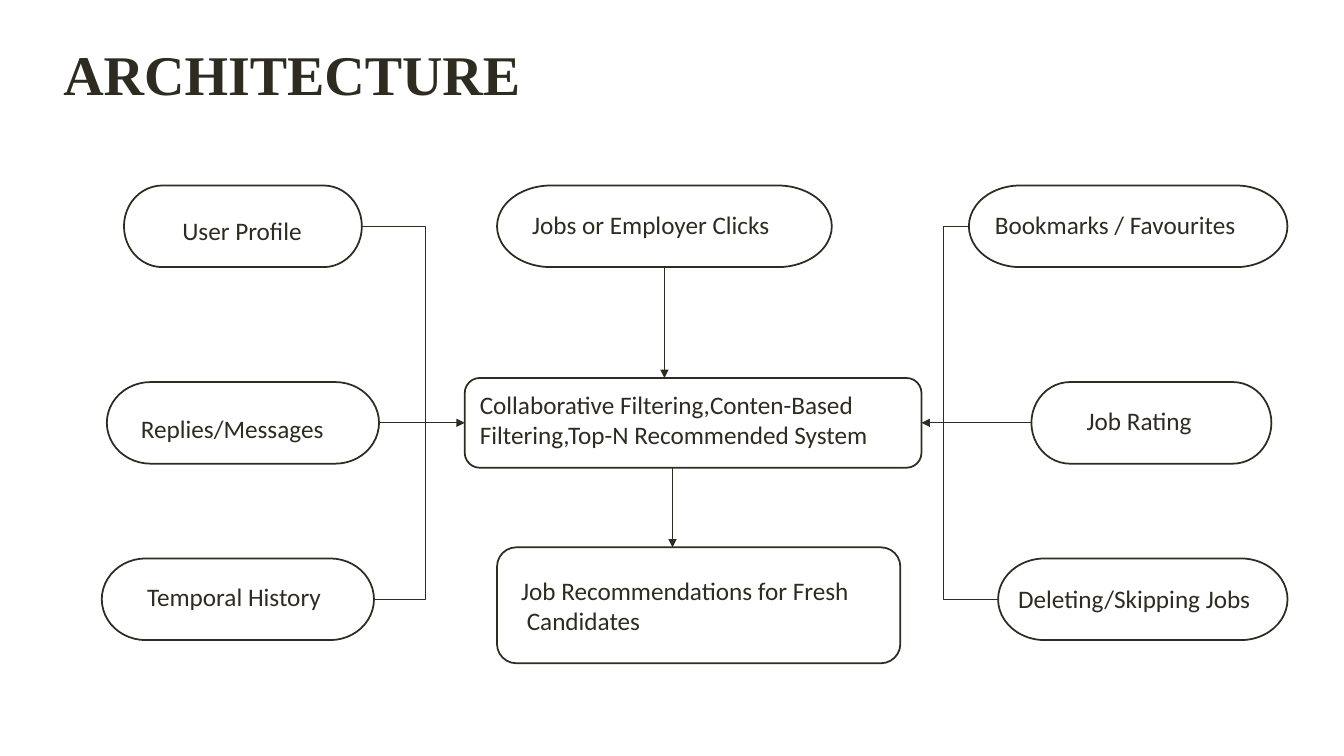
from lxml import etree
from pptx import Presentation
from pptx.dml.color import RGBColor
from pptx.enum.shapes import MSO_CONNECTOR, MSO_SHAPE
from pptx.enum.text import PP_ALIGN
from pptx.oxml.ns import qn
from pptx.util import Inches, Pt

PILL = MSO_SHAPE.FLOWCHART_TERMINATOR
PANEL = MSO_SHAPE.ROUNDED_RECTANGLE
STRAIGHT = MSO_CONNECTOR.STRAIGHT
ELBOW = MSO_CONNECTOR.ELBOW
LEFT, JUSTIFY = PP_ALIGN.LEFT, PP_ALIGN.JUSTIFY

# Content and grid, in inches
INK = "2E2B21"
TITLE = "ARCHITECTURE"
TOP_ROW, MIDDLE_ROW, BOTTOM_ROW = 1.84, 3.79, 5.54
PILL_HEIGHT = 0.81
LEFT_BUS, RIGHT_BUS = 4.22, 9.36

# name: (left, top, width, label, label shift right, label shift down, alignment)
PILLS = {
    "profile": (1.23, TOP_ROW, 2.36, "User Profile", 0.48, 0.25, LEFT),
    "clicks": (4.93, TOP_ROW, 3.32, "Jobs or Employer Clicks", 0.25, 0.19, JUSTIFY),
    "bookmarks": (9.61, TOP_ROW, 3.16, "Bookmarks / Favourites", 0.16, 0.19, LEFT),
    "messages": (1.06, MIDDLE_ROW, 2.7, "Replies/Messages", 0.24, 0.26, LEFT),
    "history": (1.01, BOTTOM_ROW, 2.7, "Temporal History", 0.35, 0.18, LEFT),
    "rating": (10.23, MIDDLE_ROW, 2.38, "Job Rating", 0.45, 0.18, JUSTIFY),
    "skipping": (9.9, BOTTOM_ROW, 2.87, "Deleting/Skipping Jobs", 0.1, 0.2, LEFT),
}
# name: (left, top, width, height, paragraphs, label shift right, label shift down)
PANELS = {
    "engine": (4.61, 3.75, 4.53, 0.89,
               ["Collaborative Filtering,Conten-Based",
                "Filtering,Top-N Recommended System"], 0.05, 0.06),
    "results": (4.93, 5.43, 4, 1.15,
                ["Job Recommendations for Fresh\v Candidates"], 0.14, 0.23),
}

deck = Presentation()
deck.slide_width, deck.slide_height = Inches(13.33), Inches(7.5)
page = deck.slides.add_slide(deck.slide_layouts[6])


def color(value):
    return RGBColor.from_string(value)


def add_text(paragraphs, left, top, width, height, size=18, font="Calibri",
             bold=False, align=LEFT):
    box = page.shapes.add_textbox(Inches(left), Inches(top), Inches(width), Inches(height))
    frame = box.text_frame
    frame.word_wrap = True
    for index, words in enumerate(paragraphs):
        para = frame.add_paragraph() if index else frame.paragraphs[0]
        para.text = words
        para.alignment = align
        for span in para.runs:
            span.font.size, span.font.name, span.font.bold = Pt(size), font, bold
            span.font.color.rgb = color(INK)


def add_outline(kind, left, top, width, height):
    shape = page.shapes.add_shape(kind, Inches(left), Inches(top), Inches(width), Inches(height))
    shape.shadow.inherit = False
    shape.fill.background()
    shape.line.color.rgb = color(INK)
    shape.line.width = Pt(1.25)


def add_link(start, end, bus=None):
    """Straight arrow, or a plain bracket that bends at the bus position."""
    kind = STRAIGHT if bus is None else ELBOW
    link = page.shapes.add_connector(kind, *(Inches(value) for value in (*start, *end)))
    link.line.color.rgb = color(INK)
    link.line.width = Pt(0.75)
    properties = link._element.spPr
    etree.SubElement(properties, qn("a:effectLst"))
    if bus is None:
        etree.SubElement(link.line._get_or_add_ln(), qn("a:tailEnd"), type="triangle")
    else:
        share = round((bus - start[0]) / (end[0] - start[0]) * 100000)
        bends = properties.find(qn("a:prstGeom")).get_or_add_avLst()
        etree.SubElement(bends, qn("a:gd"), name="adj1", fmla=f"val {share}")


# Title
add_text([TITLE], 0.53, 0.34, 4.92, 0.77, size=40, font="Times New Roman", bold=True)

# Outlines and labels
edges = {}
for name, (left, top, width, label, right, down, align) in PILLS.items():
    add_outline(PILL, left, top, width, PILL_HEIGHT)
    add_text([label], left + right, top + down, width - right, 0.4, align=align)
    edges[name] = (left, top, left + width, top + PILL_HEIGHT)
for name, (left, top, width, height, paragraphs, right, down) in PANELS.items():
    add_outline(PANEL, left, top, width, height)
    add_text(paragraphs, left + right, top + down, width - right, 0.71)
    edges[name] = (left, top, left + width, top + height)


def side(name, which):
    """Midpoint of one side of a named outline."""
    left, top, right, bottom = edges[name]
    center, middle = (left + right) / 2, (top + bottom) / 2
    return {"left": (left, middle), "right": (right, middle),
            "top": (center, top), "bottom": (center, bottom)}[which]


# Arrows into and out of the engine
clicks_x = side("clicks", "bottom")[0]
results_x = 6.67
add_link(side("clicks", "bottom"), (clicks_x, edges["engine"][1]))
add_link((results_x, edges["engine"][3]), (results_x, edges["results"][1]))
add_link(side("rating", "left"), side("engine", "right"))
add_link(side("messages", "right"), side("engine", "left"))

# Brackets joining the outer pills
add_link(side("profile", "right"), side("history", "right"), LEFT_BUS)
add_link(side("bookmarks", "left"), side("skipping", "left"), RIGHT_BUS)

deck.save("out.pptx")
